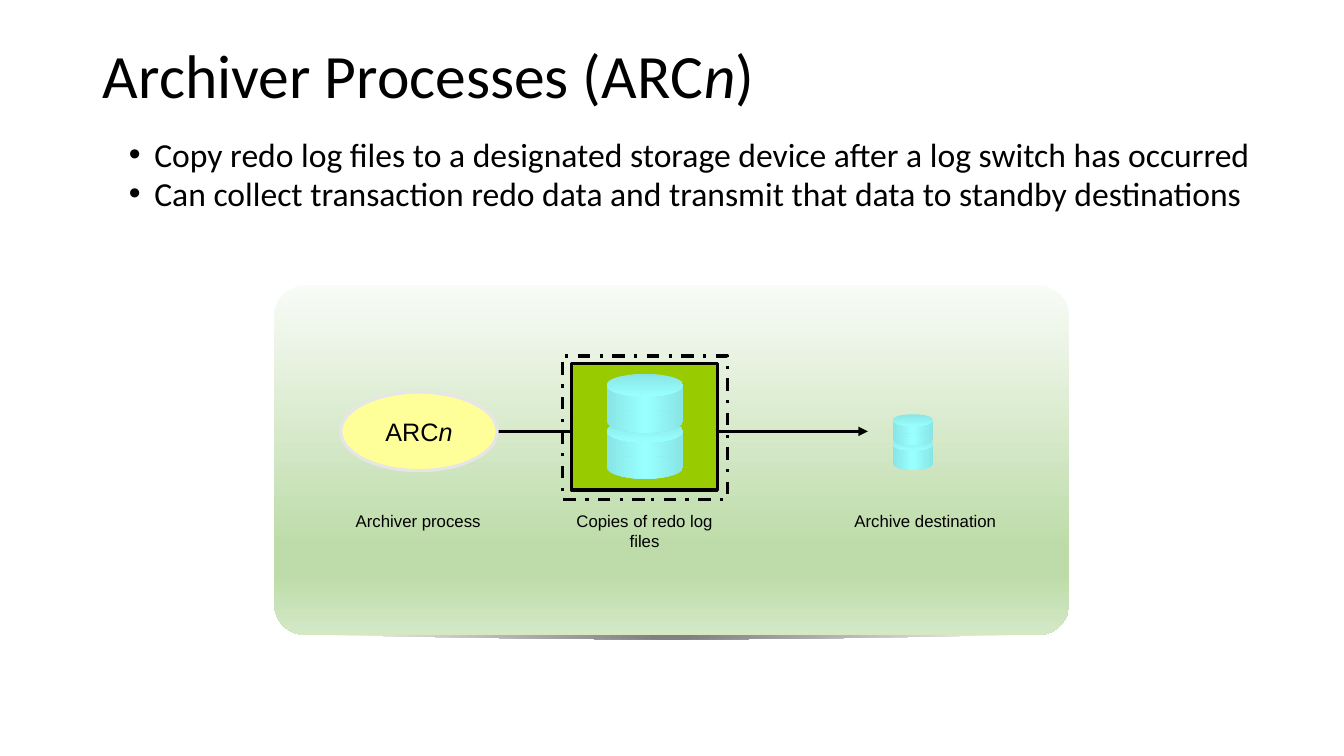
from math import pi, sin

from pptx import Presentation
from pptx.dml.color import RGBColor
from pptx.enum.dml import MSO_LINE_DASH_STYLE as Dash
from pptx.enum.shapes import MSO_CONNECTOR as Connector, MSO_SHAPE as Shape
from pptx.enum.text import MSO_ANCHOR as Anchor, MSO_AUTO_SIZE as AutoSize, PP_ALIGN as Align
from pptx.oxml import parse_xml
from pptx.oxml.ns import nsdecls, qn
from pptx.util import Cm, Pt

BLACK = "000000"
DRUM_SIDE = [(0, "89E5E5"), (50, "99FFFF"), (100, "89E5E5")]
DRUM_TOP = [(0, "89E5E5"), (100, "99FFFF")]
PANEL = [(0, "F8FBF6"), (74, "BEDCAA"), (83, "BEDCAA"), (100, "D4E8C6")]
PANEL_SHADOW = [(4, "808080"), (100, "FFFFFF")]
RADIAL = ('<a:path path="circle">'
          '<a:fillToRect l="50000" t="50000" r="50000" b="50000"/></a:path>')


def color(hex_string):
    return RGBColor.from_string(hex_string)


def linear(degrees):
    return f'<a:lin ang="{degrees * 60000}" scaled="0"/>'


class SlideArtist:
    """Draws on one slide; all lengths are in centimetres."""

    heading_font, label_font, line_width = "Calibri", "Arial", Pt(2.25)

    def __init__(self, slide):
        self.slide = slide

    def add_runs(self, paragraph, runs, size, font):
        for text, italic in runs:
            run = paragraph.add_run()
            run.text = text
            run.font.name, run.font.size = font, Pt(size)
            run.font.italic = italic
            run.font.color.rgb = color(BLACK)

    def paint(self, part, fill=None, line=None, dash=None):
        part.shadow.inherit = False
        part.fill.background()
        if fill:
            part.fill.solid()
            part.fill.fore_color.rgb = color(fill)
        if line:
            part.line.color.rgb = color(line)
            part.line.width = self.line_width
            if dash:
                part.line.dash_style = dash
        else:
            part.line.fill.background()

    def blend(self, part, stops, direction):
        self.paint(part)
        stop_xml = "".join(
            f'<a:gs pos="{percent * 1000}"><a:srgbClr val="{tone}"/></a:gs>'
            for percent, tone in stops)
        gradient = parse_xml(f'<a:gradFill {nsdecls("a")} rotWithShape="1">'
                             f'<a:gsLst>{stop_xml}</a:gsLst>{direction}</a:gradFill>')
        properties = part.element.spPr
        properties.replace(properties.find(qn("a:noFill")), gradient)

    def shape(self, kind, *box):
        return self.slide.shapes.add_shape(kind, *map(Cm, box))

    def title(self, runs, *box):
        heading = self.slide.shapes.title
        heading.left, heading.top, heading.width, heading.height = map(Cm, box)
        frame = heading.text_frame
        frame.auto_size, frame.vertical_anchor = AutoSize.NONE, Anchor.TOP
        paragraph = frame.paragraphs[0]
        paragraph.alignment, paragraph.line_spacing = Align.LEFT, 0.9
        self.add_runs(paragraph, runs, 44, self.heading_font)

    def text_box(self, *box):
        frame = self.slide.shapes.add_textbox(*map(Cm, box)).text_frame
        frame.word_wrap = True
        return frame

    def bullets(self, points, *box):
        frame = self.text_box(*box)
        for index, point in enumerate(points):
            paragraph = frame.add_paragraph() if index else frame.paragraphs[0]
            paragraph.level, paragraph.line_spacing = 1, 0.8
            paragraph.space_before = Pt(5 if index else 0)
            properties = paragraph._p.get_or_add_pPr()
            properties.set("marL", str(Cm(1.91)))
            properties.set("indent", str(-Cm(0.64)))
            properties.append(parse_xml(f'<a:buFont {nsdecls("a")} typeface="Arial"/>'))
            properties.append(parse_xml(f'<a:buChar {nsdecls("a")} char="•"/>'))
            self.add_runs(paragraph, [(point, False)], 24, self.heading_font)

    def caption(self, text, *box):
        paragraph = self.text_box(*box).paragraphs[0]
        paragraph.alignment = Align.CENTER
        self.add_runs(paragraph, [(text, False)], 12, self.label_font)

    def arrow(self, start, end, y):
        arrow = self.slide.shapes.add_connector(
            Connector.STRAIGHT, Cm(start), Cm(y), Cm(end), Cm(y))
        arrow.line.color.rgb = color(BLACK)
        arrow.line.width = self.line_width
        properties = arrow.element.spPr
        properties.find(qn("a:ln")).append(
            parse_xml(f'<a:tailEnd {nsdecls("a")} type="triangle"/>'))
        properties.append(parse_xml(f'<a:effectLst {nsdecls("a")}/>'))

    def drum(self, left, top, width):
        cap, body = 0.3 * width, 0.47 * width
        for kind, y, height, stops, angle in (
                (Shape.RECTANGLE, top + cap / 2, body, DRUM_SIDE, 0),
                (Shape.OVAL, top, cap, DRUM_TOP, 90),
                (Shape.OVAL, top + body, cap, DRUM_SIDE, 0)):
            self.blend(self.shape(kind, left, y, width, height), stops, linear(angle))

    def drum_pair(self, left, top, width):
        # The lower drum goes first so that the upper one overlaps it
        for drop in (0.6 * width, 0):
            self.drum(left, top + drop, width)

    def curved_shadow(self, left, top, width, depth, steps=24):
        builder = self.slide.shapes.build_freeform(Cm(left), Cm(top))
        builder.add_line_segments(
            [(Cm(left + width * (1 - step / steps)),
              Cm(top + depth * sin(pi * step / steps))) for step in range(steps + 1)])
        self.blend(builder.convert_to_shape(), PANEL_SHADOW, RADIAL)


def main():
    deck = Presentation()
    deck.slide_width, deck.slide_height = Cm(33.87), Cm(19.05)
    artist = SlideArtist(deck.slides.add_slide(deck.slide_layouts[5]))

    # Heading and key points
    artist.title([("Archiver Processes (ARC", False), ("n", True), (")", False)],
                 2.34, 1.02, 29.21, 3.68)
    artist.bullets(
        ["Copy redo log files to a designated storage device after a log switch has occurred",
         "Can collect transaction redo data and transmit that data to standby destinations"],
        1.73, 3.45, 30.4, 2.21)

    # Panel behind the diagram
    artist.curved_shadow(7.37, 15.98, 19.1, 0.13)
    panel = artist.shape(Shape.ROUNDED_RECTANGLE, 6.91, 7.19, 20.04, 8.81)
    panel.adjustments[0] = 0.09
    artist.blend(panel, PANEL, linear(90))

    # Flow from process to destination
    for start, end in ((11.91, 14.68), (18.06, 21.87)):
        artist.arrow(start, end, 10.87)
    for text, left, width, height in (
            ("Archiver process", 7.9, 5.28, 0.76),
            ("Archive destination", 20.68, 5.28, 0.76),
            ("Copies of redo log files", 13.92, 4.65, 1.27)):
        artist.caption(text, left, 12.75, width, height)

    # Redo log copies
    log_frame = artist.shape(Shape.RECTANGLE, 14.4, 9.17, 3.68, 3.18)
    artist.paint(log_frame, "99CC00", BLACK)
    artist.drum_pair(15.29, 9.42, 1.93)
    log_border = artist.shape(Shape.RECTANGLE, 14.17, 8.97, 4.17, 3.61)
    artist.paint(log_border, line=BLACK, dash=Dash.DASH_DOT)

    # Archiver process
    archiver = artist.shape(Shape.OVAL, 8.59, 9.88, 3.94, 1.98)
    artist.paint(archiver, "FFFF99", "E7E6E6")
    archiver.text_frame.word_wrap = False
    archiver.text_frame.vertical_anchor = Anchor.MIDDLE
    archiver_label = archiver.text_frame.paragraphs[0]
    archiver_label.alignment = Align.CENTER
    artist.add_runs(archiver_label, [("ARC", False), ("n", True)], 18, artist.label_font)

    # Archive destination
    artist.drum_pair(22.5, 10.44, 1.02)

    deck.save("out.pptx")


if __name__ == "__main__":
    main()
